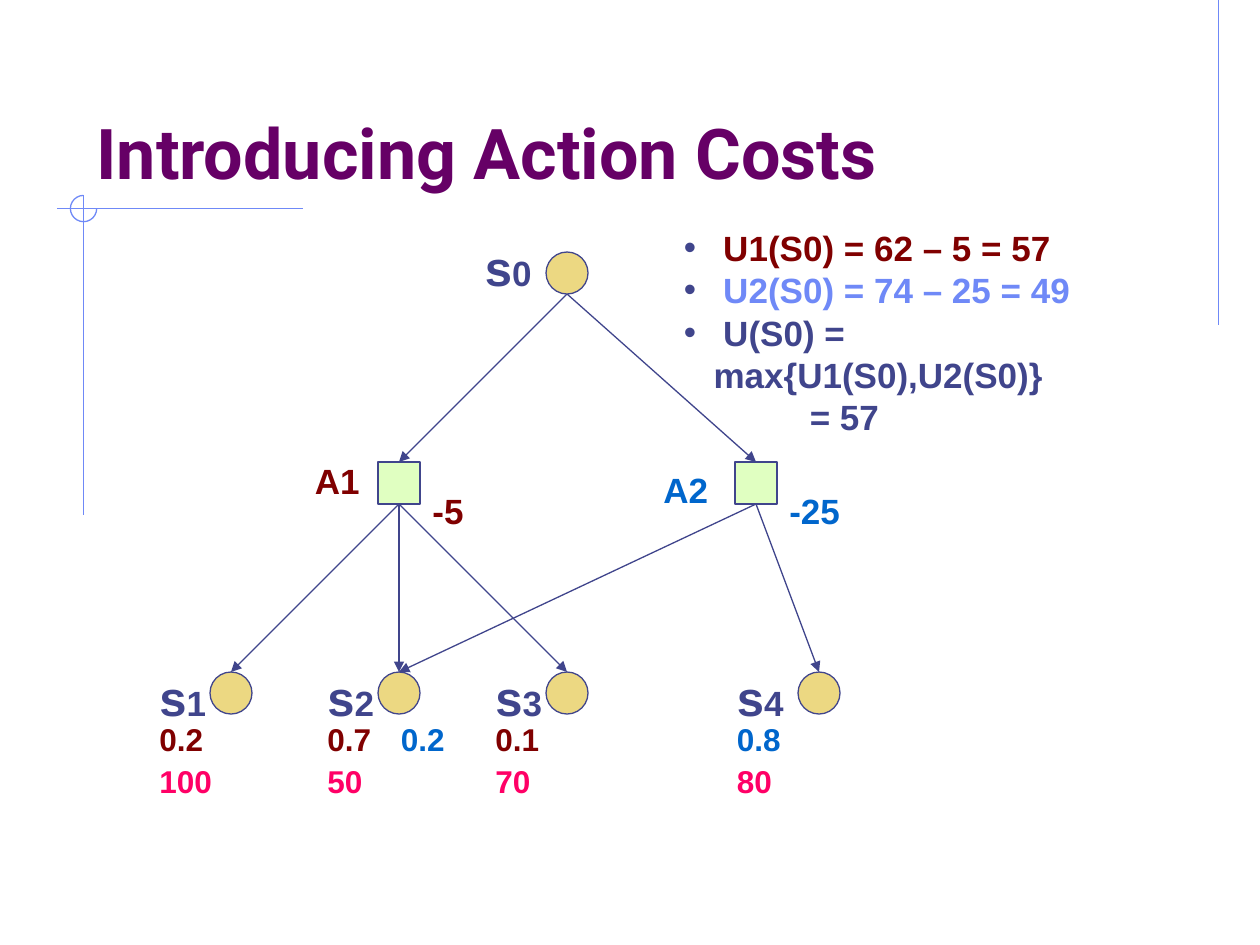
from pptx import Presentation
from pptx.dml.color import RGBColor as Rgb
from pptx.enum.shapes import MSO_CONNECTOR as Link, MSO_SHAPE as Kind
from pptx.enum.text import MSO_ANCHOR as Anchor, MSO_AUTO_SIZE as Fit, PP_ALIGN as Align
from pptx.oxml.ns import qn
from pptx.oxml.xmlchemy import OxmlElement as Tag
from pptx.util import Cm, Pt

# Content
TITLE = "Introducing Action Costs"
SUMS = [  # text, colour, bullet
    (" U1(S0) = 62 – 5 = 57", "red", True),
    (" U2(S0) = 74 – 25 = 49", "sky", True),
    (" U(S0) = max{U1(S0),U2(S0)}", "ink", True),
    ("= 57", "ink", False),
]
# Nodes: column and row in grid units, then the label's offset from the node
STATES = {
    "s0": (13, 6, -1.75, -0.5),
    "s1": (5, 16, -1.5, -0.25),
    "s2": (9, 16, -1.5, -0.25),
    "s3": (13, 16, -1.5, -0.25),
    "s4": (19, 16, -1.75, -0.25),
}
ACTS = {  # the last two are cost and colour
    "A1": (9, 11, -1.8, -0.2, "-5", "red"),
    "A2": (17.5, 11, -2, 0, "-25", "blue"),
}
EDGES = [("s0", "A1"), ("s0", "A2"), ("A1", "s1"), ("A1", "s2"),
         ("A1", "s3"), ("A2", "s2"), ("A2", "s4")]
# Under each state: (chance, colour, shift right) entries and the payoff
LEAVES = {
    "s1": ([("0.2", "red", 0)], "100"),
    "s2": ([("0.7", "red", 0), ("0.2", "blue", 1.75)], "50"),
    "s3": ([("0.1", "red", 0)], "70"),
    "s4": ([("0.8", "blue", 0)], "80"),
}
# Corner rules in cm: x1, y1, x2, y2
RULES = [(24.56, 0, 24.56, 6.56), (6.1, 4.21, 1.14, 4.21), (1.69, 3.94, 1.69, 10.39)]

# Theme
THEME = {
    "ink": "40458C", "sky": "6F89F7", "red": "800000", "blue": "0066CC",
    "pink": "FF0066", "plum": "660066", "gold": "ECD882", "lime": "E0FFC1",
    "face": "Arial", "head": "Roboto",
    "top": 40, "big": 28, "mid": 20, "low": 18, "line": 0.75,
}
UNIT = 2.54 / 3  # grid step in cm

deck = Presentation()
deck.slide_width, deck.slide_height = Cm(25.4), Cm(19.05)
slide = deck.slides.add_slide(deck.slide_layouts[1])
shapes = slide.shapes


def hue(name):
    return Rgb.from_string(THEME[name])


def put(obj, vals):
    for key, val in vals.items():
        setattr(obj, key, val)


def write(par, text, size, tint, face="face"):
    run = par.add_run()
    run.text = text
    put(run.font, {"size": Pt(THEME[size]), "bold": True, "name": THEME[face]})
    run.font.color.rgb = hue(tint)


def label(col, row, wide, high, runs, tint):
    """Text box at a grid position, with (text, size) runs."""
    box = shapes.add_textbox(Cm(col * UNIT), Cm(row * UNIT), Cm(wide), Cm(high))
    put(box.text_frame, {"word_wrap": False, "auto_size": Fit.SHAPE_TO_FIT_TEXT})
    for text, size in runs:
        write(box.text_frame.paragraphs[0], text, size, tint)


def line(ends, tint, arrow=False):
    link = shapes.add_connector(Link.STRAIGHT, *map(Cm, ends))
    link.line.color.rgb = hue(tint)
    link.line.width = Pt(THEME["line"])
    props = link._element.spPr
    if arrow:
        tip = Tag("a:tailEnd")
        tip.set("type", "triangle")
        props.find(qn("a:ln")).append(tip)
    props.append(Tag("a:effectLst"))


def form(kind, x, y, size, tint, fill=None):
    shape = shapes.add_shape(kind, Cm(x), Cm(y), Cm(size), Cm(size))
    shape.shadow.inherit = False
    shape.line.color.rgb = hue(tint)
    shape.line.width = Pt(THEME["line"])
    if fill:
        shape.fill.solid()
        shape.fill.fore_color.rgb = hue(fill)
    else:
        shape.fill.background()
    return shape


# Corner ornament
for ends in RULES:
    line(ends, "sky")
arc = form(Kind.ARC, 1.42, 3.94, 0.53, "sky")
arc.adjustments[0], arc.adjustments[1] = 0, 162

# Edges run from bottom centre to top centre
nodes = {**STATES, **ACTS}
for start, end in EDGES:
    (x1, y1), (x2, y2) = nodes[start][:2], nodes[end][:2]
    line([v * UNIT for v in (x1 + 0.5, y1 + 1, x2 + 0.5, y2)], "ink", True)

# States with chances and payoffs
for name, (col, row, dx, dy) in STATES.items():
    form(Kind.OVAL, col * UNIT, row * UNIT, UNIT, "ink", "gold")
    label(col + dx, row + dy, 1.5, 1.45, [(name[0], "big"), (name[1], "mid")], "ink")
    odds, gain = LEAVES.get(name, ([], None))
    for text, tint, shift in odds:
        label(col + dx + shift, row + 1, 1.45, 1.02, [(text, "low")], tint)
    if gain:
        label(col + dx, row + 2, 0.55 + 0.36 * len(gain), 1.02, [(gain, "low")], "pink")

# Actions with costs
for name, (col, row, dx, dy, cost, tint) in ACTS.items():
    form(Kind.RECTANGLE, col * UNIT, row * UNIT, UNIT, "ink", "lime")
    label(col + dx, row + dy, 1.5, 1.12, [(name, "mid")], tint)
    label(col + 1, row + 0.5, 0.42 + 0.39 * len(cost), 1.12, [(cost, "mid")], tint)

# Title
head = shapes.title
put(head, {"left": Cm(1.69), "top": Cm(0.85), "width": Cm(21.59), "height": Cm(3.18)})
put(head.text_frame, {"vertical_anchor": Anchor.BOTTOM, "auto_size": Fit.NONE})
par = head.text_frame.paragraphs[0]
par.alignment = Align.LEFT
write(par, TITLE, "top", "plum", "head")

# Utility list
body = slide.placeholders[1]
put(body, {"left": Cm(13.53), "top": Cm(4.43), "width": Cm(10.1), "height": Cm(4.6)})
put(body.text_frame, {"word_wrap": True, "auto_size": Fit.NONE})
for i, (text, tint, dot) in enumerate(SUMS):
    par = body.text_frame.add_paragraph() if i else body.text_frame.paragraphs[0]
    put(par, {"space_before": Pt(0), "line_spacing": Pt(24.2)})
    props = par._p.get_or_add_pPr()
    props.set("marL", str(Cm(0.6 if dot else 2.54)))
    props.set("indent", str(Cm(-0.6 if dot else 0)))
    if dot:
        paint = Tag("a:buClr")
        tone = Tag("a:srgbClr")
        tone.set("val", THEME["ink"])
        paint.append(tone)
        mark = Tag("a:buChar")
        mark.set("char", "•")
        props.extend([paint, mark])
    else:
        props.append(Tag("a:buNone"))
    write(par, text, "mid", tint)

deck.save("out.pptx")
